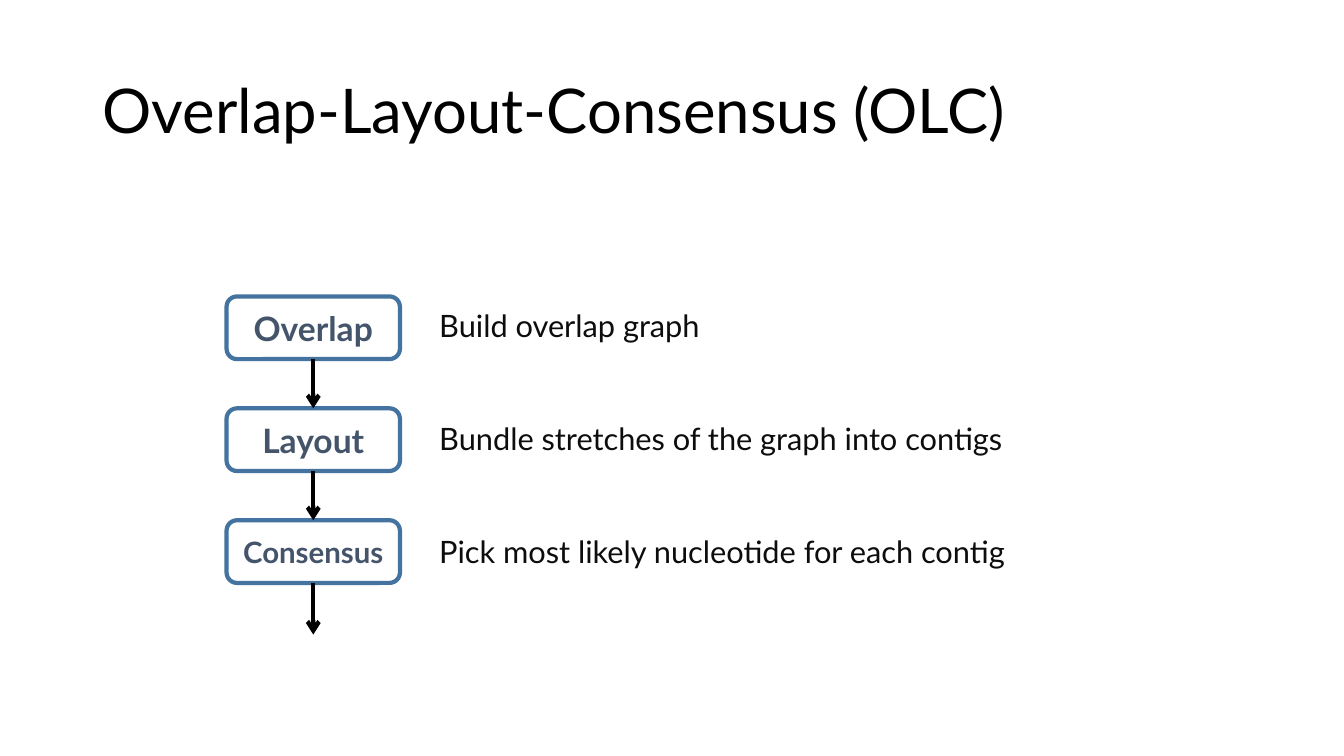
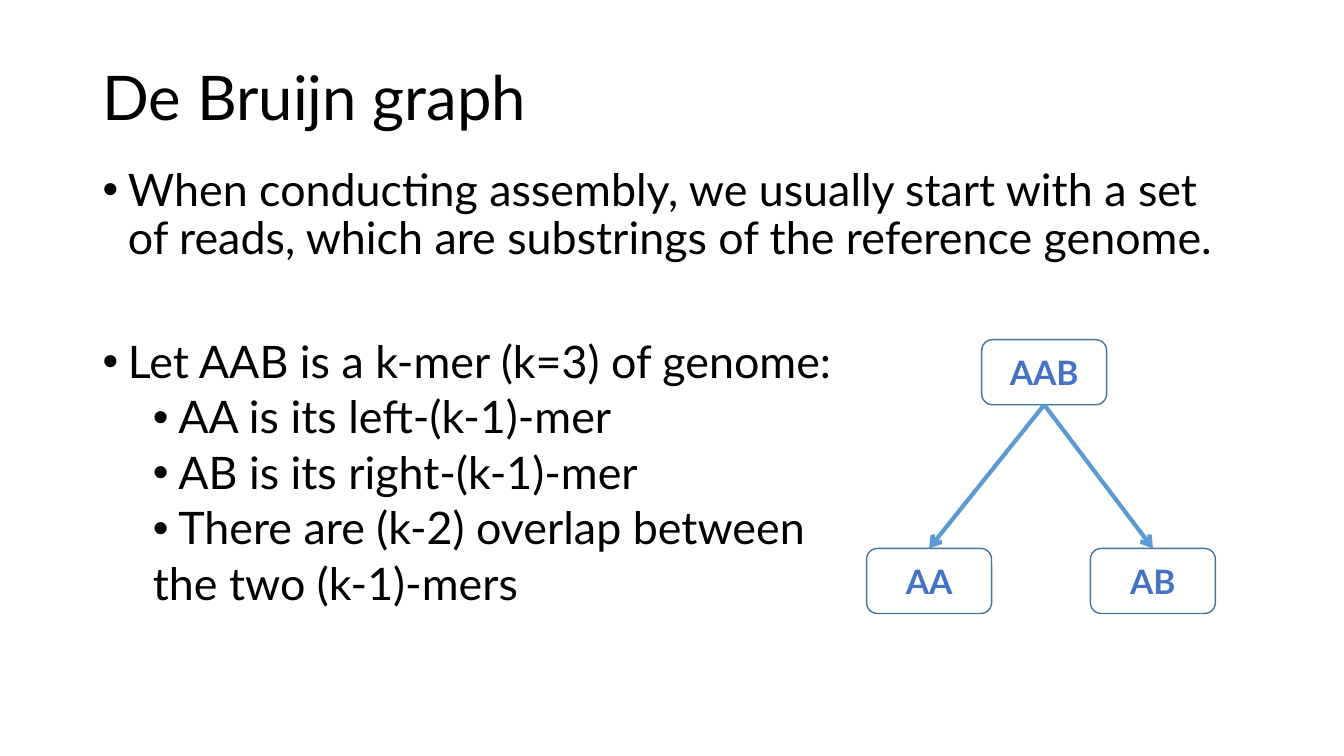
"""Build two slides on genome assembly: the OLC steps and the De Bruijn graph."""
from dataclasses import dataclass

import pptx
import pptx.dml.color
import pptx.enum.shapes
import pptx.enum.text
import pptx.oxml.ns
import pptx.util
from lxml import etree
from pptx.util import Cm, Pt


@dataclass(frozen=True)
class Theme:
    font: str = "Lato"
    black: str = "000000"
    caption: str = "0D0D0D"
    white: str = "FFFFFF"
    outline: str = "43739E"
    step_text: str = "44546A"
    node_text: str = "4472C4"
    edge: str = "5B9BD5"
    title_size: int = 44
    body_size: int = 32
    box_size: int = 24
    long_box_size: int = 21
    caption_size: int = 22
    heavy_line: int = 3
    thin_line: int = 1
    line_spacing: float = 0.9


THEME = Theme()
CONTENT_LAYOUT, TITLE_ONLY_LAYOUT = 1, 5
TOP, BOTTOM = 0, 2
CONTENT_LEFT, CONTENT_WIDTH = 2.33, 29.21

OLC_TITLE = "Overlap-Layout-Consensus (OLC)"
STEPS = [
    ("Overlap", THEME.box_size, "Build overlap graph"),
    ("Layout", THEME.box_size, "Bundle stretches of the graph into contigs"),
    ("Consensus", THEME.long_box_size, "Pick most likely nucleotide for each contig"),
]
STEP_LEFT, STEP_TOP, STEP_WIDTH, STEP_HEIGHT, STEP_PITCH = 5.71, 7.47, 4.37, 1.58, 2.82
CAPTION_LEFT, CAPTION_TOP, CAPTION_PITCH = 10.82, 7.61, 2.85
CAPTION_WIDTH, CAPTION_HEIGHT = 17, 1.25
LAST_ARROW = 1.3

GRAPH_TITLE = "De Bruijn graph"
# (text, level, bulleted, left margin, first-line indent, space before)
BODY = [
    ("When conducting assembly, we usually start with a set of reads, "
     "which are substrings of the reference genome.", 0, True, 0.64, -0.64, 10),
    ("Let AAB is a k-mer (k=3) of genome:", 0, True, 0.64, -0.64, 54),
    ("AA is its left-(k-1)-mer", 1, True, 1.91, -0.64, 5),
    ("AB is its right-(k-1)-mer", 1, True, 1.91, -0.64, 5),
    ("There are (k-2) overlap between", 1, True, 1.91, -0.64, 5),
    ("the two (k-1)-mers", 1, False, 1.27, 0, 5),
]
NODES = {"AAB": (24.74, 8.56), "AA": (21.84, 13.82), "AB": (27.48, 13.82)}
NODE_WIDTH, NODE_HEIGHT = 3.15, 1.64
EDGES = [("AAB", "AA"), ("AAB", "AB")]


def rgb(value):
    return pptx.dml.color.RGBColor.from_string(value)


def add_element(parent, tag, **attributes):
    return etree.SubElement(parent, pptx.oxml.ns.qn(tag), attributes)


def place(shape, left, top, width, height):
    shape.left, shape.top, shape.width, shape.height = map(Cm, (left, top, width, height))


def format_paragraph(paragraph, size, color, bold=False,
                     align=pptx.enum.text.PP_ALIGN.LEFT):
    paragraph.alignment = align
    for run in paragraph.runs:
        run.font.name = THEME.font
        run.font.size = Pt(size)
        run.font.bold = bold
        run.font.color.rgb = rgb(color)


def add_titled_slide(presentation, layout, text, height):
    slide = presentation.slides.add_slide(presentation.slide_layouts[layout])
    title = slide.shapes.title
    place(title, CONTENT_LEFT, 1.02, CONTENT_WIDTH, height)
    frame = title.text_frame
    frame.text = text
    frame.vertical_anchor = pptx.enum.text.MSO_ANCHOR.MIDDLE
    frame.auto_size = pptx.enum.text.MSO_AUTO_SIZE.NONE
    frame.paragraphs[0].line_spacing = THEME.line_spacing
    format_paragraph(frame.paragraphs[0], THEME.title_size, THEME.black)
    return slide


def add_box(slide, text, bounds, size, color, line_width):
    box = slide.shapes.add_shape(
        pptx.enum.shapes.MSO_SHAPE.FLOWCHART_ALTERNATE_PROCESS, *map(Cm, bounds))
    box.shadow.inherit = False
    box.fill.solid()
    box.fill.fore_color.rgb = rgb(THEME.white)
    box.line.color.rgb = rgb(THEME.outline)
    box.line.width = Pt(line_width)
    box.text_frame.text = text
    box.text_frame.vertical_anchor = pptx.enum.text.MSO_ANCHOR.MIDDLE
    format_paragraph(box.text_frame.paragraphs[0], size, color, True,
                     pptx.enum.text.PP_ALIGN.CENTER)
    return box


def add_arrow(slide, source, color, target=None):
    center = source.left + source.width // 2
    bottom = source.top + source.height
    arrow = slide.shapes.add_connector(
        pptx.enum.shapes.MSO_CONNECTOR.STRAIGHT,
        center, bottom, center, bottom + Cm(LAST_ARROW))
    arrow.begin_connect(source, BOTTOM)
    if target is not None:
        arrow.end_connect(target, TOP)
    arrow.line.color.rgb = rgb(color)
    arrow.line.width = Pt(THEME.heavy_line)
    add_element(arrow.line._get_or_add_ln(), "a:tailEnd", type="arrow")
    add_element(arrow._element.spPr, "a:effectLst")


def add_caption(slide, text, top):
    caption = slide.shapes.add_textbox(
        *map(Cm, (CAPTION_LEFT, top, CAPTION_WIDTH, CAPTION_HEIGHT)))
    caption.text_frame.word_wrap = True
    caption.text_frame.text = text
    format_paragraph(caption.text_frame.paragraphs[0], THEME.caption_size, THEME.caption)


def build_steps(presentation):
    slide = add_titled_slide(presentation, TITLE_ONLY_LAYOUT, OLC_TITLE, 3.68)
    boxes = []
    for index, (name, size, caption) in enumerate(STEPS):
        bounds = (STEP_LEFT, STEP_TOP + index * STEP_PITCH, STEP_WIDTH, STEP_HEIGHT)
        boxes.append(add_box(slide, name, bounds, size, THEME.step_text, THEME.heavy_line))
        add_caption(slide, caption, CAPTION_TOP + index * CAPTION_PITCH)
    for source, target in zip(boxes, boxes[1:] + [None]):
        add_arrow(slide, source, THEME.black, target)


def fill_body(body):
    place(body, CONTENT_LEFT, 4.09, CONTENT_WIDTH, 13.08)
    frame = body.text_frame
    frame.text = "\n".join(item[0] for item in BODY)
    frame.auto_size = pptx.enum.text.MSO_AUTO_SIZE.NONE
    for paragraph, item in zip(frame.paragraphs, BODY):
        _, level, bulleted, margin, indent, space_before = item
        paragraph.level = level
        paragraph.line_spacing = THEME.line_spacing
        paragraph.space_before = Pt(space_before)
        paragraph.space_after = Pt(0)
        format_paragraph(paragraph, THEME.body_size, THEME.black)
        properties = paragraph._p.get_or_add_pPr()
        properties.set("marL", str(Cm(margin)))
        properties.set("indent", str(Cm(indent)))
        if bulleted:
            add_element(properties, "a:buFont", typeface="Arial")
            add_element(properties, "a:buChar", char="•")
        else:
            add_element(properties, "a:buNone")


def build_graph(presentation):
    slide = add_titled_slide(presentation, CONTENT_LAYOUT, GRAPH_TITLE, 3.02)
    fill_body(slide.placeholders[1])
    nodes = {
        name: add_box(slide, name, (left, top, NODE_WIDTH, NODE_HEIGHT),
                      THEME.box_size, THEME.node_text, THEME.thin_line)
        for name, (left, top) in NODES.items()
    }
    for source, target in EDGES:
        add_arrow(slide, nodes[source], THEME.edge, nodes[target])


def main():
    presentation = pptx.Presentation()
    presentation.slide_width, presentation.slide_height = Cm(33.87), Cm(19.05)
    build_steps(presentation)
    build_graph(presentation)
    presentation.save("out.pptx")


if __name__ == "__main__":
    main()
